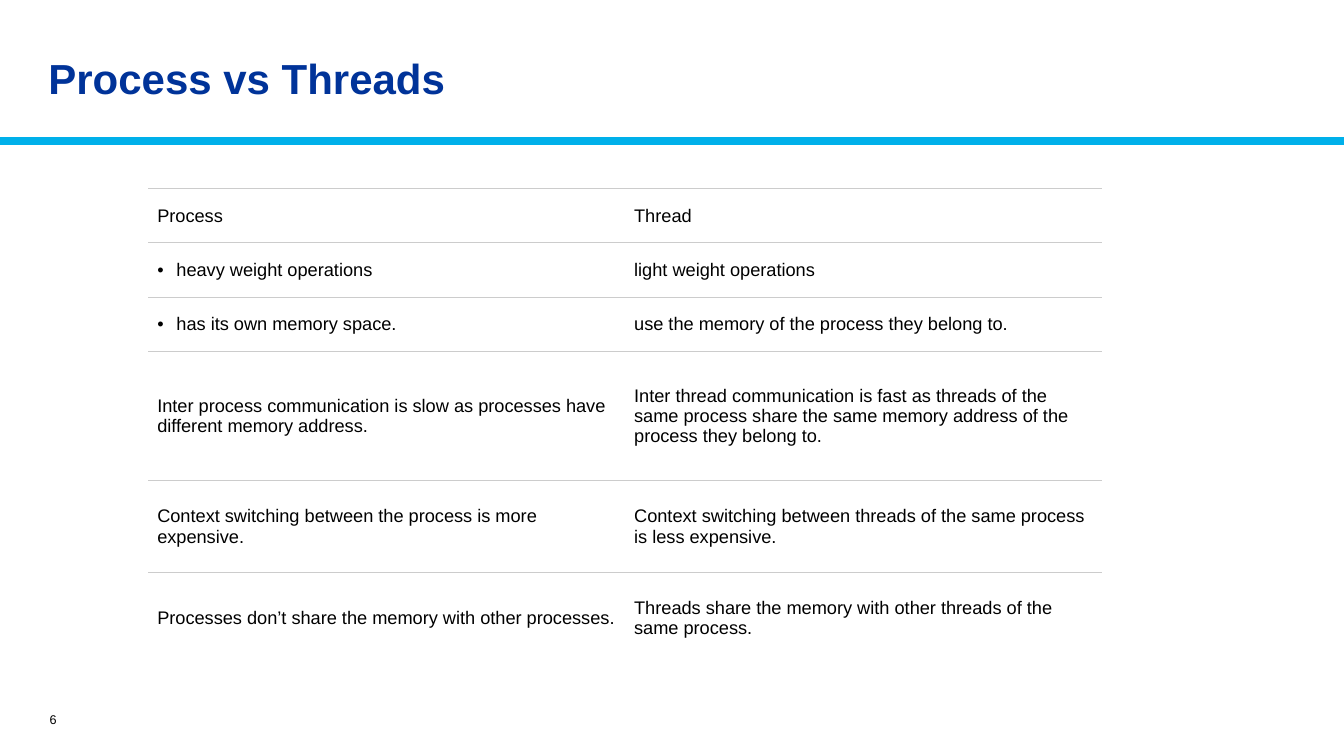
from lxml.etree import SubElement
from pptx import Presentation
from pptx.dml.color import RGBColor as Color
from pptx.enum.shapes import MSO_CONNECTOR as Connector
from pptx.enum.text import MSO_ANCHOR as Anchor, PP_ALIGN as Align
from pptx.oxml import parse_xml
from pptx.oxml.ns import nsdecls, qn
from pptx.util import Inches, Pt

COLORS = {"title": "003399", "band": "00B0EA", "rule": "CCCCCC", "text": "000000", "cell": "FFFFFF"}
COLUMN_WIDTH = 4.73
ROW_HEIGHTS = [0.54, 0.54, 0.54, 1.28, 0.91, 0.91]
BULLETED = ["heavy weight operations", "has its own memory space."]
COMPARISON = [
    ("Process", "Thread"),
    (BULLETED[0], "light weight operations"),
    (BULLETED[1], "use the memory of the process they belong to."),
    ("Inter process communication is slow as processes have different memory address.",
     "Inter thread communication is fast as threads of the same process share the same memory address of the process they belong to."),
    ("Context switching between the process is more expensive.",
     "Context switching between threads of the same process is less expensive."),
    ("Processes don’t share the memory with other processes.",
     "Threads share the memory with other threads of the same process."),
]


def write(frame, text, size, color="text", bold=False, align=Align.LEFT, spacing=1.0, bullet=False):
    frame.word_wrap = True
    para = frame.paragraphs[0]
    para.alignment = align
    para.line_spacing = spacing
    span = para.add_run()
    span.text = text
    span.font.name = "Arial"
    span.font.size = Pt(size)
    span.font.bold = bold
    span.font.color.rgb = Color.from_string(COLORS[color])
    if bullet:
        properties = para._p.get_or_add_pPr()
        properties.set("marL", str(Inches(0.19)))
        properties.set("indent", str(-Inches(0.19)))
        SubElement(properties, qn("a:buFont")).set("typeface", "Arial")
        SubElement(properties, qn("a:buChar")).set("char", "•")


def set_borders(cell, sides):
    properties = cell._tc.get_or_add_tcPr()
    for index, side in enumerate("LRTB"):
        paint = "<a:noFill/>"
        if side in sides:
            paint = f'<a:solidFill><a:srgbClr val="{COLORS["rule"]}"/></a:solidFill>'
        border = f'<a:ln{side} {nsdecls("a")} w="{Pt(0.75)}">{paint}</a:ln{side}>'
        properties.insert(index, parse_xml(border))


deck = Presentation()
deck.slide_width, deck.slide_height = Inches(13.33), Inches(7.5)
page = deck.slides.add_slide(deck.slide_layouts[5])

band = page.shapes.add_connector(Connector.STRAIGHT, 0, Inches(1.4), deck.slide_width, Inches(1.4))
band.line.color.rgb = Color.from_string(COLORS["band"])
band.line.width = Pt(6)
SubElement(band._element.spPr, qn("a:effectLst"))

title = page.shapes.title
title.left, title.top, title.width, title.height = map(Inches, (0.38, 0.39, 9.02, 0.83))
title.text_frame.vertical_anchor = Anchor.MIDDLE
write(title.text_frame, "Process vs Threads", 30, color="title", bold=True, spacing=0.9)

table = page.shapes.add_table(
    len(COMPARISON), 2, Inches(1.47), Inches(1.87), Inches(2 * COLUMN_WIDTH), Inches(sum(ROW_HEIGHTS))
).table
table.first_row = table.horz_banding = False
for column in table.columns:
    column.width = Inches(COLUMN_WIDTH)

for row_index, (height, texts) in enumerate(zip(ROW_HEIGHTS, COMPARISON)):
    table.rows[row_index].height = Inches(height)
    is_last = row_index == len(COMPARISON) - 1
    for column_index, text in enumerate(texts):
        cell = table.cell(row_index, column_index)
        cell.vertical_anchor = Anchor.MIDDLE
        cell.margin_left = cell.margin_right = Inches(0.09)
        cell.margin_top = cell.margin_bottom = Inches(0.05)
        cell.fill.solid()
        cell.fill.fore_color.rgb = Color.from_string(COLORS["cell"])
        set_borders(cell, "T" if is_last else "TB")
        write(cell.text_frame, text, 13, bullet=text in BULLETED)

number = page.shapes.add_textbox(*map(Inches, (0.09, 6.99, 0.57, 0.3)))
number.text_frame.vertical_anchor = Anchor.MIDDLE
write(number.text_frame, "6", 9, align=Align.RIGHT)

deck.save("out.pptx")
